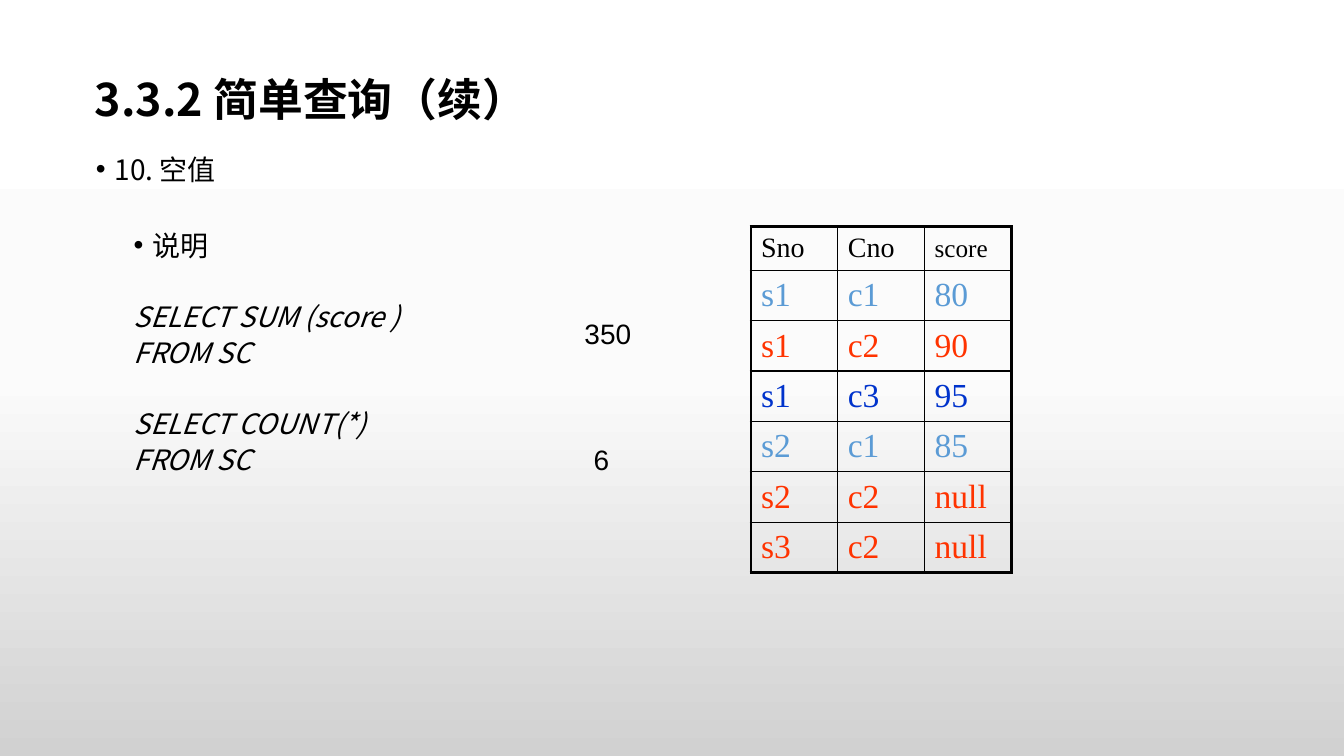
from lxml import etree
from pptx import Presentation
from pptx.dml.color import RGBColor
from pptx.enum.text import MSO_ANCHOR, MSO_AUTO_SIZE, PP_ALIGN
from pptx.oxml import parse_xml
from pptx.oxml.ns import nsdecls, qn
from pptx.util import Pt

SANS = "Noto Sans CJK SC"
SERIF = "Times New Roman"
BLACK, SKY, RED, BLUE = "000000", "5B9BD5", "FF3300", "0033CC"
BACKGROUND = [(0, "FFFFFF"), (50, "FBFBFB"), (100, "D1D1D1")]
HANG = 13.5

# text, level, bulleted, italic, space before
OUTLINE = [
    ("10. 空值", 0, True, False, 0),
    ("说明", 1, True, False, 30.8),
    ("SELECT SUM (score )", 1, False, True, 27.2),
    ("FROM SC", 1, False, True, 2.2),
    ("SELECT COUNT(*)", 1, False, True, 27.2),
    ("FROM SC", 1, False, True, 2.2),
]

SCORES = [
    (("Sno", "Cno", "score"), BLACK),
    (("s1", "c1", "80"), SKY),
    (("s1", "c2", "90"), RED),
    (("s1", "c3", "95"), BLUE),
    (("s2", "c1", "85"), SKY),
    (("s2", "c2", "null"), RED),
    (("s3", "c2", "null"), RED),
]


def add_span(para, text, size, font, color=BLACK, bold=False, italic=False):
    span = para.add_run()
    span.text = text
    span.font.size = Pt(size)
    span.font.name = font
    span.font.bold = bold
    span.font.italic = italic
    span.font.color.rgb = RGBColor.from_string(color)
    east_asian = etree.Element(qn("a:ea"), typeface=font)
    span.font._element.find(qn("a:latin")).addnext(east_asian)


def place(box, left, top, width, height):
    box.left, box.top = Pt(left), Pt(top)
    box.width, box.height = Pt(width), Pt(height)


def set_background(page):
    stops = "".join(
        f'<a:gs pos="{percent * 1000}"><a:srgbClr val="{color}"/></a:gs>'
        for percent, color in BACKGROUND
    )
    page.element.cSld.insert(0, parse_xml(
        f'<p:bg {nsdecls("p", "a")}><p:bgPr><a:gradFill rotWithShape="1">'
        f'<a:gsLst>{stops}</a:gsLst><a:lin ang="5400000" scaled="0"/>'
        '</a:gradFill><a:effectLst/></p:bgPr></p:bg>'
    ))


def fill_title(title):
    place(title, 60.5, 43.2, 612, 60)
    frame = title.text_frame
    frame.auto_size = MSO_AUTO_SIZE.NONE
    frame.vertical_anchor = MSO_ANCHOR.MIDDLE
    para = frame.paragraphs[0]
    para.alignment = PP_ALIGN.LEFT
    para.line_spacing = 0.9
    add_span(para, "3.3.2 简单查询（续）", 32, SANS, bold=True)


def set_bullet(para, level, bulleted):
    """Give the paragraph its hanging indent, with or without a bullet."""
    props = para._p.get_or_add_pPr()
    props.set("marL", str(Pt(HANG + 27 * level)))
    props.set("indent", str(-Pt(HANG)))
    if bulleted:
        etree.SubElement(props, qn("a:buFont"), typeface="Arial")
        etree.SubElement(props, qn("a:buChar"), char="•")
    else:
        etree.SubElement(props, qn("a:buNone"))


def fill_outline(body):
    place(body, 61.2, 105.8, 286, 378)
    frame = body.text_frame
    frame.auto_size = MSO_AUTO_SIZE.NONE
    frame.vertical_anchor = MSO_ANCHOR.TOP
    for index, (text, level, bulleted, italic, gap) in enumerate(OUTLINE):
        para = frame.add_paragraph() if index else frame.paragraphs[0]
        para.level = level
        para.alignment = PP_ALIGN.LEFT
        para.line_spacing = Pt(23.5)
        para.space_before = Pt(gap)
        set_bullet(para, level, bulleted)
        add_span(para, text, 20, SANS, italic=italic)


def set_borders(cell, widths):
    """Draw the left, right, top and bottom lines of a cell."""
    props = cell._tc.get_or_add_tcPr()
    for index, (side, width) in enumerate(zip("LRTB", widths)):
        props.insert(index, parse_xml(
            f'<a:ln{side} {nsdecls("a")} w="{Pt(width)}"><a:solidFill>'
            f'<a:srgbClr val="{BLACK}"/></a:solidFill></a:ln{side}>'
        ))


def add_score_table(page):
    last_row, last_column = len(SCORES) - 1, len(SCORES[0][0]) - 1
    table = page.shapes.add_table(
        last_row + 1, last_column + 1, Pt(536.4), Pt(162), Pt(186), Pt(247)
    ).table
    table.first_row = table.horz_banding = False
    for column in table.columns:
        column.width = Pt(62)
    for r, (values, color) in enumerate(SCORES):
        table.rows[r].height = Pt(36 if r else 31)
        for c, value in enumerate(values):
            cell = table.cell(r, c)
            cell.fill.background()
            cell.vertical_anchor = MSO_ANCHOR.MIDDLE
            edges = (c == 0, c == last_column, r == 0, r == last_row)
            set_borders(cell, [2.25 if edge else 1 for edge in edges])
            size = 24 if r else 18 if value == "score" else 20
            add_span(cell.text_frame.paragraphs[0], value, size, SERIF, color)


def add_answer(page, text, left, top, width):
    box = page.shapes.add_textbox(Pt(left), Pt(top), Pt(width), Pt(31))
    box.text_frame.word_wrap = True
    add_span(box.text_frame.paragraphs[0], text, 20, "Arial")


def main():
    deck = Presentation()
    deck.slide_width, deck.slide_height = Pt(960), Pt(540)
    page = deck.slides.add_slide(deck.slide_layouts[1])
    set_background(page)
    fill_title(page.shapes.title)
    fill_outline(page.placeholders[1])
    add_score_table(page)
    add_answer(page, "350", 410.4, 222.5, 54)
    add_answer(page, "6", 416.9, 312.5, 42)
    deck.save("out.pptx")


if __name__ == "__main__":
    main()
